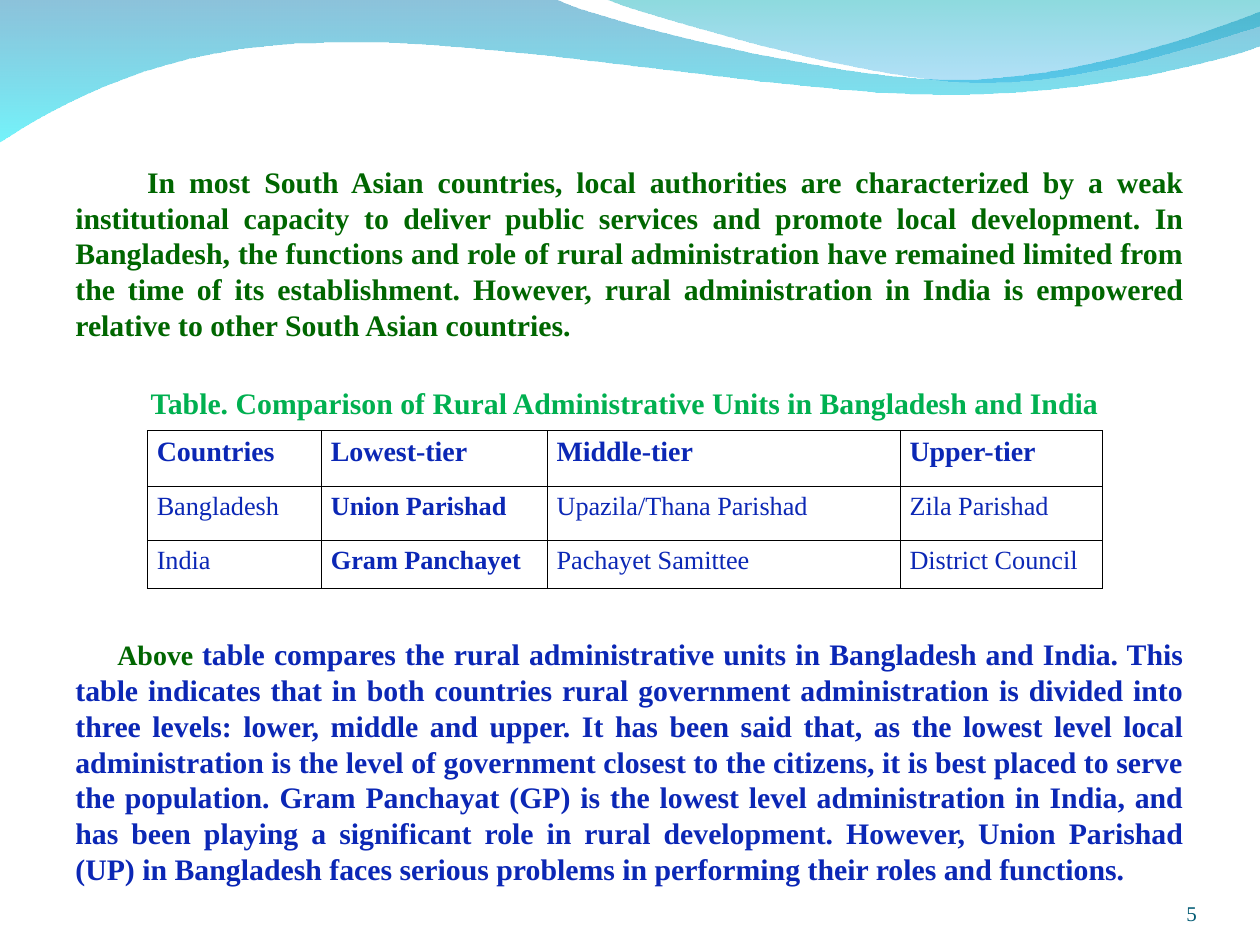
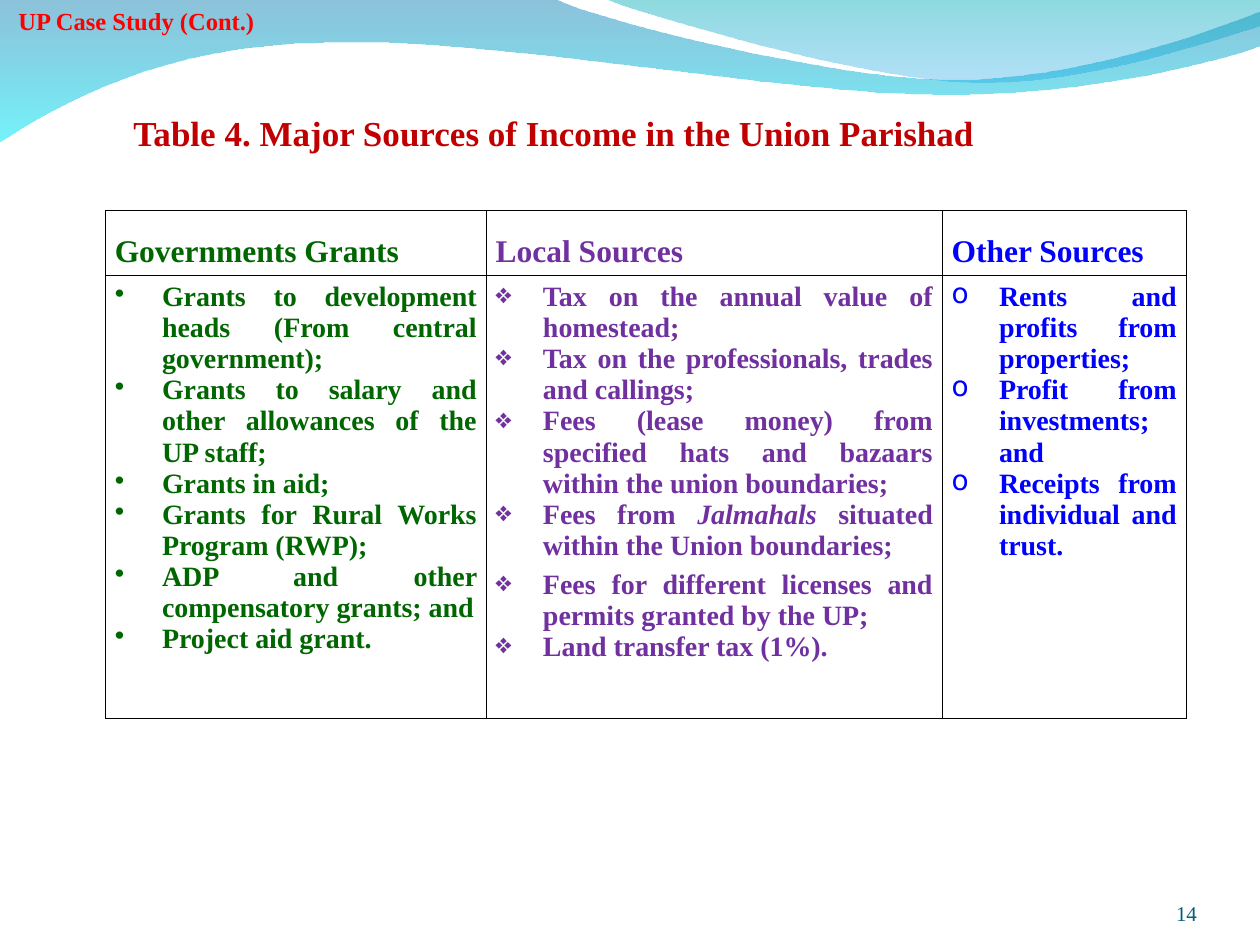
from lxml.etree import SubElement
from pptx import Presentation
from pptx.dml.color import RGBColor as Rgb
from pptx.enum.text import MSO_ANCHOR as Anchor, MSO_AUTO_SIZE as Fit, PP_ALIGN as Align
from pptx.oxml import parse_xml
from pptx.oxml.ns import nsdecls, qn
from pptx.util import Pt

FACE = "Times New Roman"
GREEN = Rgb(0x00, 0x66, 0x00)
LEAF = Rgb(0x00, 0xB0, 0x50)
NAVY = Rgb(0x0B, 0x27, 0xB5)
BLUE = Rgb(0x00, 0x00, 0xFF)
PURPLE = Rgb(0x70, 0x30, 0xA0)
WINE = Rgb(0xC0, 0x00, 0x00)
RED = Rgb(0xFF, 0x00, 0x00)
TEAL = Rgb(0x04, 0x5C, 0x75)

WAVES = [
    ((0, -0.01),
     [(4.4, -0.01), (4.76, 0.17, 6.64, 0.63, 7.58, 0.63), (8.53, 0.63, 9.58, 0.26, 10, 0.09),
      (10.01, 0.36), (9.83, 0.44, 8.7, 0.76, 7.46, 0.75), (6.22, 0.75, 3.82, 0.28, 2.57, 0.34),
      (1.29, 0.35, 0.46, 0.83, -0.01, 1.13)],
     [(Rgb(0x00, 0x79, 0xAF), 45), (Rgb(0x00, 0xEB, 0xF8), 55)]),
    ((4.79, -0.01),
     [(5.09, 0.11, 6.82, 0.62, 7.69, 0.65), (8.56, 0.69, 9.61, 0.32, 10, 0.21), (10, 0)],
     [(Rgb(0x00, 0xAD, 0xB6), 45), (Rgb(0x00, 0x9B, 0xE5), 30)]),
]

INTRO = (
    "In most South Asian countries, local authorities are characterized by a weak institutional "
    "capacity to deliver public services and promote local development. In Bangladesh, the functions "
    "and role of rural administration have remained limited from the time of its establishment. "
    "However, rural administration in India is empowered relative to other South Asian countries."
)
NOTE = (
    "table compares the rural administrative units in Bangladesh and India. This table indicates "
    "that in both countries rural government administration is divided into three levels: lower, "
    "middle and upper. It has been said that, as the lowest level local administration is the level "
    "of government closest to the citizens, it is best placed to serve the population. Gram Panchayat "
    "(GP) is the lowest level administration in India, and has been playing a significant role in "
    "rural development. However, Union Parishad (UP) in Bangladesh faces serious problems in "
    "performing their roles and functions."
)
TIERS = [
    ["Countries", "Lowest-tier", "Middle-tier", "Upper-tier"],
    ["Bangladesh", "Union Parishad", "Upazila/Thana Parishad", "Zila Parishad"],
    ["India", "Gram Panchayet", "Pachayet Samittee", "District Council"],
]
INCOME = [
    ("Governments Grants", GREEN, "•", [
        ["Grants to development heads (From central government);"],
        ["Grants to salary and other allowances of the UP staff;"],
        ["Grants in aid;"],
        ["Grants for Rural Works Program (RWP);"],
        ["ADP and other compensatory grants; and"],
        ["Project aid grant."]]),
    ("Local Sources", PURPLE, "❖", [
        ["Tax on the annual value of homestead;"],
        ["Tax on the professionals, trades and callings;"],
        ["Fees (lease money) from specified hats and bazaars within the union boundaries;"],
        ["Fees from ", "Jalmahals", " situated within the Union boundaries;"],
        ["Fees for different licenses and permits granted by the UP;"],
        ["Land transfer tax (1%)."]]),
    ("Other Sources", BLUE, "o", [
        ["Rents and profits from properties;"],
        ["Profit from investments; and"],
        ["Receipts from individual and trust."]]),
]


def apply(thing, values):
    """Set every attribute named in a dict of format values."""
    for name, value in values.items():
        setattr(thing, name, value)


def write(para, text, size, ink, bold=True, italic=False, **form):
    """Add one run to a paragraph and format both."""
    run = para.add_run()
    run.text = text
    apply(run.font, dict(name=FACE, size=Pt(size), bold=bold, italic=italic))
    run.font.color.rgb = ink
    apply(para, form)


def indent(para, first, left=0, mark=None):
    """Set a paragraph's indents and, if given, its bullet mark."""
    props = para._p.get_or_add_pPr()
    props.set("marL", str(Pt(left)))
    props.set("indent", str(Pt(first)))
    if mark:
        SubElement(props, qn("a:buChar")).set("char", mark)


def place(shape, box, **frame):
    """Move a text shape to its box and return its first paragraph."""
    apply(shape, dict(zip(("left", "top", "width", "height"), map(Pt, box))))
    values = dict(word_wrap=True, auto_size=Fit.NONE, vertical_anchor=Anchor.TOP)
    apply(shape.text_frame, values | frame)
    return shape.text_frame.paragraphs[0]


def label(slide, box, **frame):
    """Add a text box and return its first paragraph."""
    return place(slide.shapes.add_textbox(0, 0, 0, 0), box, **frame)


def trace(start, steps, parts=16):
    """Return the points of an outline of lines and cubic curves."""
    points = [start]
    for step in steps:
        if len(step) == 2:
            points.append(step)
            continue
        knots = [points[-1], step[:2], step[2:4], step[4:]]
        for part in range(1, parts + 1):
            t = part / parts
            mix = ((1 - t) ** 3, 3 * t * (1 - t) ** 2, 3 * t * t * (1 - t), t ** 3)
            points.append(tuple(sum(m * k[axis] for m, k in zip(mix, knots)) for axis in (0, 1)))
    return [(Pt(72 * x), Pt(72 * y)) for x, y in points]


def waves(slide, master):
    """Draw the tinted waves and hand them to the slide master."""
    for spot, (start, steps, tints) in enumerate(WAVES, 2):
        first, *rest = trace(start, steps)
        pen = slide.shapes.build_freeform(*first)
        pen.add_line_segments(rest)
        wave = pen.convert_to_shape()
        wave.shadow.inherit = False
        wave.line.fill.background()
        wave.fill.gradient()
        wave.fill.gradient_angle = 270
        for stop, (tint, _) in zip(wave.fill.gradient_stops, tints):
            stop.color.rgb = tint
        for node, (_, alpha) in zip(wave.element.iter(qn("a:srgbClr")), tints):
            SubElement(node, qn("a:alpha")).set("val", str(alpha * 1000))
        master.shapes.element.insert(spot, wave.element)


def number(slide, text):
    """Write the slide number at the lower right."""
    edges = dict.fromkeys(("margin_left", "margin_right", "margin_top", "margin_bottom"), 0)
    para = label(slide, (624, 500.4, 60, 28.8), vertical_anchor=Anchor.BOTTOM, **edges)
    write(para, text, 12, TEAL, bold=False, alignment=Align.RIGHT)


def grid(slide, left, top, widths, heights):
    """Add a plain table with thin black borders."""
    box = map(Pt, (left, top, sum(widths), sum(heights)))
    frame = slide.shapes.add_table(len(heights), len(widths), *box)
    table = frame.table
    apply(table, dict(first_row=False, horz_banding=False))
    for column, width in zip(table.columns, widths):
        column.width = Pt(width)
    for row, height in zip(table.rows, heights):
        row.height = Pt(height)
    for cell in table.iter_cells():
        apply(cell, dict(margin_left=Pt(5.4), margin_right=Pt(5.4),
                         margin_top=Pt(3.6), margin_bottom=Pt(3.6)))
        cell.fill.background()
    for props in frame.element.iter(qn("a:tcPr")):
        for spot, side in enumerate("LRTB"):
            props.insert(spot, parse_xml(
                f'<a:ln{side} {nsdecls("a")} w="{Pt(0.45)}"><a:solidFill>'
                f'<a:srgbClr val="000000"/></a:solidFill></a:ln{side}>'))
    return table


def tiers(slide, left, top):
    """Fill the table of rural administrative units."""
    table = grid(slide, left, top, (99.5, 129, 201.7, 115.5), (31.8, 31, 27.2))
    for r, row in enumerate(TIERS):
        for c, text in enumerate(row):
            write(table.cell(r, c).text_frame.paragraphs[0], text, 15 if r else 16, NAVY,
                  bold=r == 0 or c == 1, alignment=Align.JUSTIFY, space_after=Pt(10))


def income(slide, left, top):
    """Fill the table of income sources with bulleted lists."""
    table = grid(slide, left, top, (217.7, 260.6, 139.4), (34.5, 253.5))
    for c, (head, ink, mark, items) in enumerate(INCOME):
        write(table.cell(0, c).text_frame.paragraphs[0], head, 18, ink,
              alignment=Align.JUSTIFY, line_spacing=1.5)
        frame = table.cell(1, c).text_frame
        for i, item in enumerate(items):
            para = frame.add_paragraph() if i else frame.paragraphs[0]
            if item[0].startswith("Fees for"):
                para.space_before = Pt(4.6)
            indent(para, -27, 27, mark)
            for k, text in enumerate(item):
                write(para, text, 16, ink, italic=k == 1, alignment=Align.JUSTIFY)


def compare(slide):
    """Build the slide that compares Bangladesh and India."""
    para = place(slide.shapes.title, (72, 216, 570.2, 28))
    write(para, "Table. Comparison of Rural Administrative Units in Bangladesh and India",
          17, LEAF, alignment=Align.CENTER)
    para = label(slide, (36, 90, 648, 111))
    indent(para, 41)
    write(para, INTRO, 17, GREEN, alignment=Align.JUSTIFY)
    tiers(slide, 84.2, 246)
    para = label(slide, (36, 360, 648, 150.5))
    indent(para, 24)
    write(para, "Above ", 16, GREEN)
    write(para, NOTE, 17, NAVY, alignment=Align.JUSTIFY)
    number(slide, "5")


def sources(slide):
    """Build the slide on the income of the Union Parishad."""
    para = place(slide.shapes.title, (69, 60, 497.5, 31.5),
                 word_wrap=False, vertical_anchor=Anchor.MIDDLE)
    write(para, "Table 4. Major Sources of Income in the Union Parishad",
          20, WINE, alignment=Align.JUSTIFY)
    income(slide, 60.2, 120.2)
    para = label(slide, (0, 0, 156, 24.5))
    write(para, "UP Case Study (Cont.)", 14, RED, alignment=Align.CENTER)
    number(slide, "14")


def main():
    """Build and save both slides."""
    deck = Presentation()
    apply(deck, dict(slide_width=Pt(720), slide_height=Pt(540)))
    first, second = (deck.slides.add_slide(deck.slide_layouts[5]) for _ in range(2))
    waves(first, deck.slide_master)
    compare(first)
    sources(second)
    deck.save("out.pptx")


if __name__ == "__main__":
    main()
